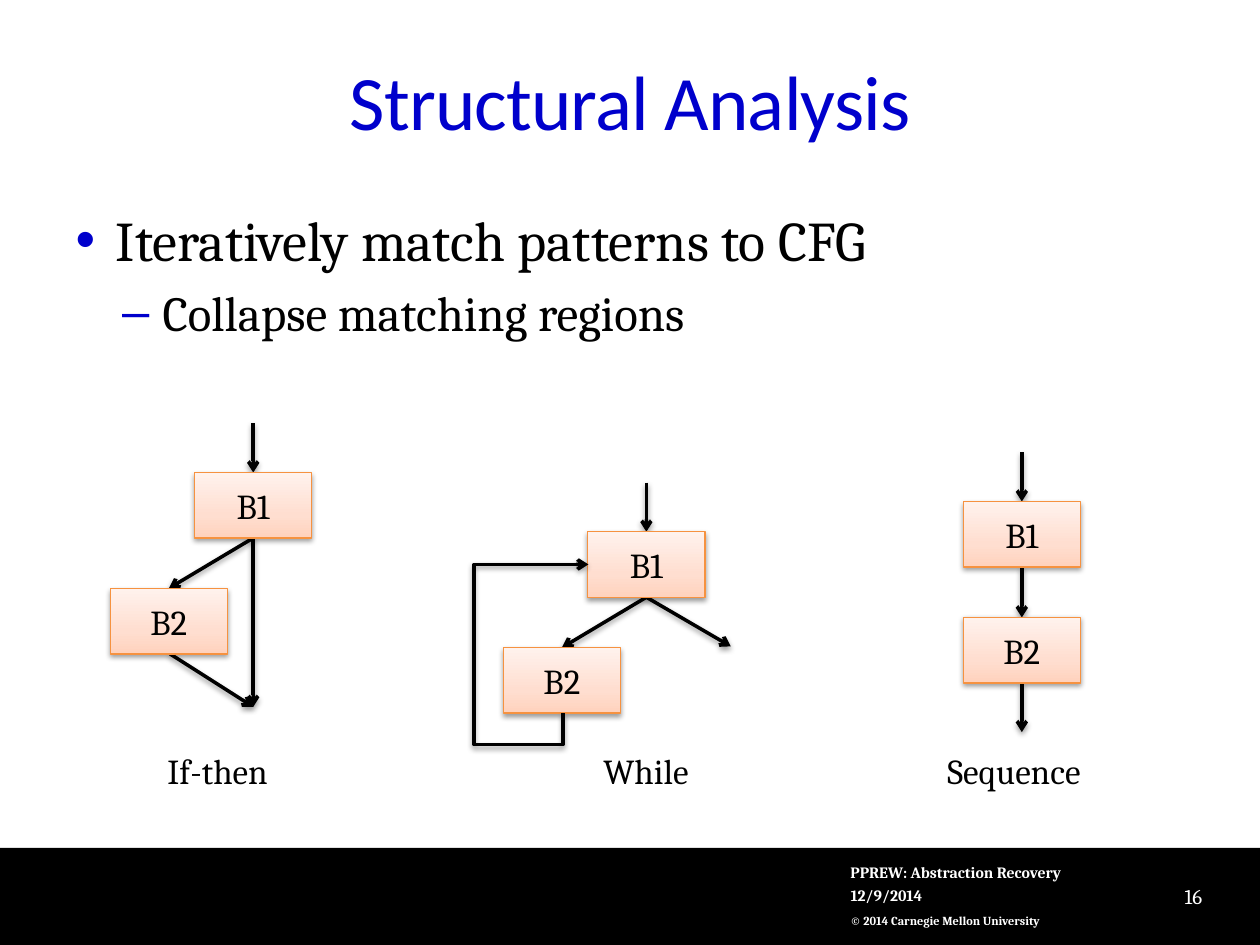
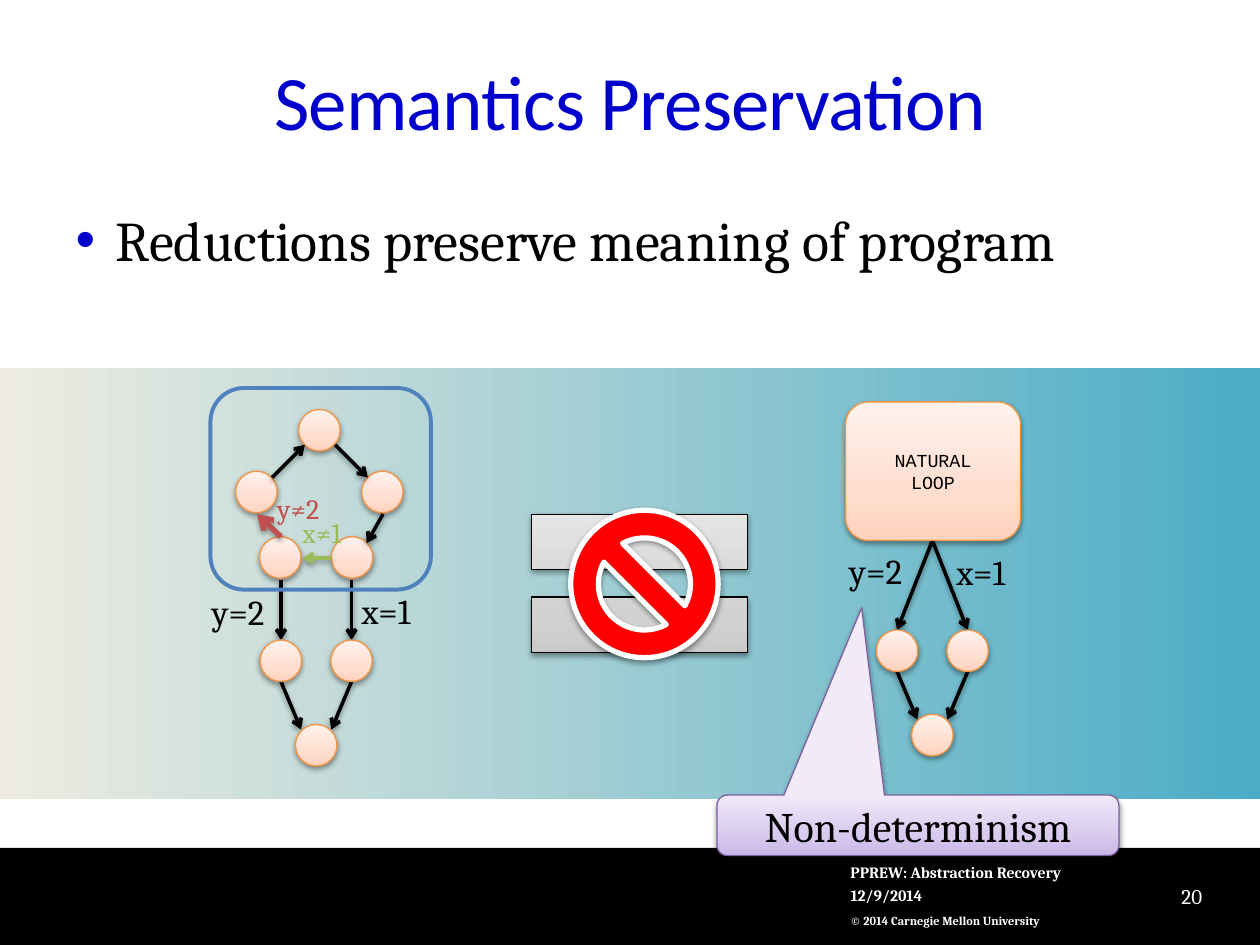
"""Build two slides on structural analysis of control-flow graphs."""
from lxml.etree import SubElement
from pptx import Presentation
from pptx.dml.color import RGBColor
from pptx.enum.shapes import MSO_CONNECTOR as CONN, MSO_SHAPE as SHAPE
from pptx.enum.text import MSO_ANCHOR as ANCHOR, MSO_AUTO_SIZE as AUTO, PP_ALIGN as ALIGN
from pptx.oxml import parse_xml
from pptx.oxml.ns import nsdecls, qn
from pptx.util import Inches, Pt

C = {"title": "0000CC", "black": "000000", "white": "FFFFFF", "orange": "F69240",
     "blue": "4F81BD", "green": "9BBB59", "red": "C0504D", "stop": "FF0000",
     "purple": "7D60A0"}
PEACH = [(0, "FFD2BD"), (35, "FFDED0"), (100, "FFF2ED")]
GREY = [(0, "BDBDBD"), (35, "D1D1D1"), (100, "EEEEEE")]
LILAC = [(0, "C9B5E8"), (35, "D8CBEE"), (100, "F0EAF9")]
SEA = [(0, "EEECE1"), (100, "4BACC6")]
SHADOW = (f'<a:effectLst {nsdecls("a")}><a:outerShdw blurRad="40000" dist="20000" '
          'dir="5400000" rotWithShape="0"><a:srgbClr val="000000">'
          '<a:alpha val="38000"/></a:srgbClr></a:outerShdw></a:effectLst>')


def add_box(s, kind, at, text="", size=20, fill=None, line=None, width=0.75, shadow=False,
            color="black", font="Cambria", bold=False, align=ALIGN.LEFT,
            anchor=ANCHOR.TOP, ins=(0, 0, 0, 0), angle=270):
    """Add a preset shape, or a text box when kind is None."""
    at = [Inches(v) for v in at]
    if kind is None:
        sp = s.shapes.add_textbox(*at)
    else:
        sp = s.shapes.add_shape(kind, *at)
        sp.shadow.inherit = False
        if isinstance(fill, list):
            sp.fill.gradient()
            grad = sp._element.spPr.find(qn("a:gradFill"))
            stops = grad.find(qn("a:gsLst"))
            for gs in list(stops):
                stops.remove(gs)
            for pos, value in fill:
                gs = SubElement(stops, qn("a:gs"), pos=str(pos * 1000))
                SubElement(gs, qn("a:srgbClr"), val=value)
            grad.find(qn("a:lin")).set("ang", str(angle * 60000))
        elif fill:
            sp.fill.solid()
            sp.fill.fore_color.rgb = RGBColor.from_string(C[fill])
        else:
            sp.fill.background()
        if line:
            sp.line.color.rgb = RGBColor.from_string(C[line])
            sp.line.width = Pt(width)
        else:
            sp.line.fill.background()
        if shadow:
            effects = sp._element.spPr.find(qn("a:effectLst"))
            effects.getparent().replace(effects, parse_xml(SHADOW))
    tf = sp.text_frame
    tf.word_wrap = True
    tf.vertical_anchor = anchor
    tf.margin_left, tf.margin_top, tf.margin_right, tf.margin_bottom = [Inches(v) for v in ins]
    for i, words in enumerate(text.split("\n") if text else []):
        p = tf.add_paragraph() if i else tf.paragraphs[0]
        p.alignment = align
        r = p.add_run()
        r.text = words
        r.font.size, r.font.name, r.font.bold = Pt(size), font, bold
        r.font.color.rgb = RGBColor.from_string(C[color])
    return sp


def add_arrow(s, x1, y1, x2, y2, color="black", width=2, kind=CONN.STRAIGHT):
    """Add a shadowed connector with an open arrowhead at its end."""
    cn = s.shapes.add_connector(kind, Inches(x1), Inches(y1), Inches(x2), Inches(y2))
    cn.line.color.rgb = RGBColor.from_string(C[color])
    cn.line.width = Pt(width)
    pr = cn._element.spPr
    SubElement(pr.find(qn("a:ln")), qn("a:tailEnd"), type="arrow")
    pr.append(parse_xml(SHADOW))
    return cn


prs = Presentation()
prs.slide_width, prs.slide_height = Inches(10), Inches(7.5)

contents = [
    ("Structural Analysis", "16",
     ["Iteratively match patterns to CFG", "Collapse matching regions"]),
    ("Semantics Preservation", "20", ["Reductions preserve meaning of program"]),
]
levels = [("•", 0.32, 32, 0), ("–", 0.69, 28, 5.6)]
slides = []
for title, number, bullets in contents:
    s = prs.slides.add_slide(prs.slide_layouts[1])
    slides.append(s)
    head, body = s.shapes.title, s.placeholders[1]
    head.left, head.top, head.width, head.height = [Inches(v) for v in (0.5, 0.17, 9, 1.25)]
    body.left, body.top, body.width, body.height = [Inches(v) for v in (0.5, 1.58, 9, 5.12)]

    tf = head.text_frame
    tf.auto_size = AUTO.NONE
    tf.vertical_anchor = ANCHOR.MIDDLE
    tf.margin_left = tf.margin_right = 0
    p = tf.paragraphs[0]
    p.alignment = ALIGN.CENTER
    r = p.add_run()
    r.text = title
    r.font.size, r.font.name = Pt(44), "Calibri"
    r.font.color.rgb = RGBColor.from_string(C["title"])
    r.font._element.set("spc", "-50")

    tf = body.text_frame
    tf.auto_size = AUTO.NONE
    for level, words in enumerate(bullets):
        char, indent, size, before = levels[level]
        p = tf.add_paragraph() if level else tf.paragraphs[0]
        p.level = level
        pr = p._p.get_or_add_pPr()
        pr.set("marL", str(Inches(indent)))
        pr.set("indent", str(Inches(-0.32)))
        SubElement(SubElement(pr, qn("a:buClr")), qn("a:srgbClr"), val=C["title"])
        SubElement(pr, qn("a:buChar"), char=char)
        p.space_before = Pt(before)
        r = p.add_run()
        r.text = words
        r.font.size, r.font.name = Pt(size), "Cambria"
        r.font.color.rgb = RGBColor.from_string(C["black"])

    add_box(s, SHAPE.RECTANGLE, (0, 6.73, 10, 0.77), fill="black")
    footer = dict(color="white", bold=True, ins=(0, 0.05, 0.05, 0.05))
    sp = add_box(s, None, (6.75, 7.15, 2.5, 0.26), "© 2014 Carnegie Mellon University", 7,
                 anchor=ANCHOR.MIDDLE, **footer)
    sp.text_frame.paragraphs[0].line_spacing = 1.5
    add_box(s, None, (6.75, 6.98, 3.08, 0.25), "12/9/2014", 9, anchor=ANCHOR.BOTTOM, **footer)
    add_box(s, None, (6.75, 6.8, 1.96, 0.25), "PPREW: Abstraction Recovery", 9,
            anchor=ANCHOR.BOTTOM, **footer)
    add_box(s, None, (9.08, 6.91, 0.56, 0.4), number, 12, color="white", align=ALIGN.RIGHT,
            anchor=ANCHOR.MIDDLE, ins=(0.1, 0.05, 0.1, 0.05))

peach = dict(fill=PEACH, line="orange", shadow=True, align=ALIGN.CENTER, anchor=ANCHOR.MIDDLE)

s = slides[0]
block_w, block_h, step, entry = 0.93, 0.52, 0.92, 0.39
patterns = [
    ("If-then", 1.23, 1.01, 2.01, 3.75, -0.67, [(-0.66, 1.44, 0, 1.86), (0, 0.53, 0, 1.86)]),
    ("While", 4.69, 0.9, 5.13, 4.22, -0.67, [(0, 0.52, 0.67, 0.91)]),
    ("Sequence", 7.42, 1.34, 8.11, 3.98, 0, [(0, 1.44, 0, 1.83)]),
]
for label, left, width, x, y, shift, exits in patterns:
    add_arrow(s, x, y - entry, x, y)
    add_arrow(s, x, y + block_h, x + shift, y + step)
    for x1, y1, x2, y2 in exits:
        add_arrow(s, x + x1, y + y1, x + x2, y + y2)
    for name, bx, by in [("B2", x + shift, y + step), ("B1", x, y)]:
        add_box(s, SHAPE.RECTANGLE, (bx - block_w / 2, by, block_w, block_h), name, **peach)
    sp = add_box(s, None, (left, 5.9, width, 0.44), label, ins=(0.1, 0.05, 0.1, 0.05))
    sp.text_frame.word_wrap = False
    sp.text_frame.auto_size = AUTO.SHAPE_TO_FIT_TEXT

back_edge = add_arrow(s, 5.16, 5.17, 3.98, 4.97, kind=CONN.ELBOW)
pr = back_edge._element.spPr
pr.find(qn("a:xfrm")).set("rot", str(90 * 60000))
geom = pr.find(qn("a:prstGeom"))
geom.set("prst", "bentConnector4")
guides = geom.find(qn("a:avLst"))
for name, value in [("adj1", -21200), ("adj2", -353100)]:
    SubElement(guides, qn("a:gd"), name=name, fmla=f"val {value}")

s = slides[1]
node = 0.33
add_box(s, SHAPE.RECTANGLE, (0, 2.92, 10, 3.42), fill=SEA, angle=0)
for x, y in [(2.37, 3.25), (2.87, 3.74), (1.87, 3.74), (2.06, 4.26), (2.63, 4.26)]:
    add_box(s, SHAPE.OVAL, (x, y, node, node), **peach)
loop_edges = [
    (2.66, 3.53, 2.92, 3.79, "black", 2), (3.04, 4.08, 2.91, 4.31, "black", 2),
    (2.63, 4.43, 2.4, 4.43, "green", 2), (2.23, 4.26, 2.04, 4.08, "red", 3),
    (2.16, 3.79, 2.42, 3.53, "black", 2),
]
for edge in loop_edges:
    add_arrow(s, *edge)

for x, y, start_y, spread in [(2.51, 5.08, 4.6, 0.28), (7.4, 5, 4.29, 0)]:
    for side in (-1, 1):
        add_arrow(s, x + side * spread, start_y, x + side * 0.28, y)
        add_arrow(s, x + side * 0.28, y + node, x + side * 0.12, y + 0.71)
    for dx, dy in [(-0.28, 0), (0.28, 0), (0, 0.67)]:
        add_box(s, SHAPE.OVAL, (x + dx - node / 2, y + dy, node, node), **peach)

add_box(s, SHAPE.ROUNDED_RECTANGLE, (1.67, 3.08, 1.75, 1.6), line="blue", width=2.25)
add_box(s, SHAPE.ROUNDED_RECTANGLE, (6.71, 3.19, 1.39, 1.1), "NATURAL\nLOOP", 10.5,
        font="Courier New", **peach)

conditions = [
    ("x=1", 2.87, 4.68, 20, "black"), ("y=2", 1.68, 4.69, 20, "black"),
    ("x≠1", 2.4, 4.09, 16, "green"), ("y≠2", 2.2, 3.9, 16, "red"),
    ("y=2", 6.74, 4.36, 20, "black"), ("x=1", 7.59, 4.37, 20, "black"),
]
for words, x, y, size, color in conditions:
    add_box(s, None, (x, y, 0.83, size / 60), words, size, color=color)

add_box(s, SHAPE.MATH_EQUAL, (3.91, 3.7, 2.33, 1.86), fill=GREY, line="black", shadow=True)
add_box(s, SHAPE.NO_SYMBOL, (4.53, 4.05, 1.17, 1.17), fill="stop", line="white", width=3,
        shadow=True)
sp = add_box(s, SHAPE.ROUNDED_RECTANGULAR_CALLOUT, (5.69, 6.31, 3.19, 0.48), "Non-determinism",
             24, fill=LILAC, line="purple", shadow=True, align=ALIGN.CENTER,
             anchor=ANCHOR.MIDDLE)
for i, value in enumerate((-0.14, -3.6, 0.17)):
    sp.adjustments[i] = value

prs.save("out.pptx")
